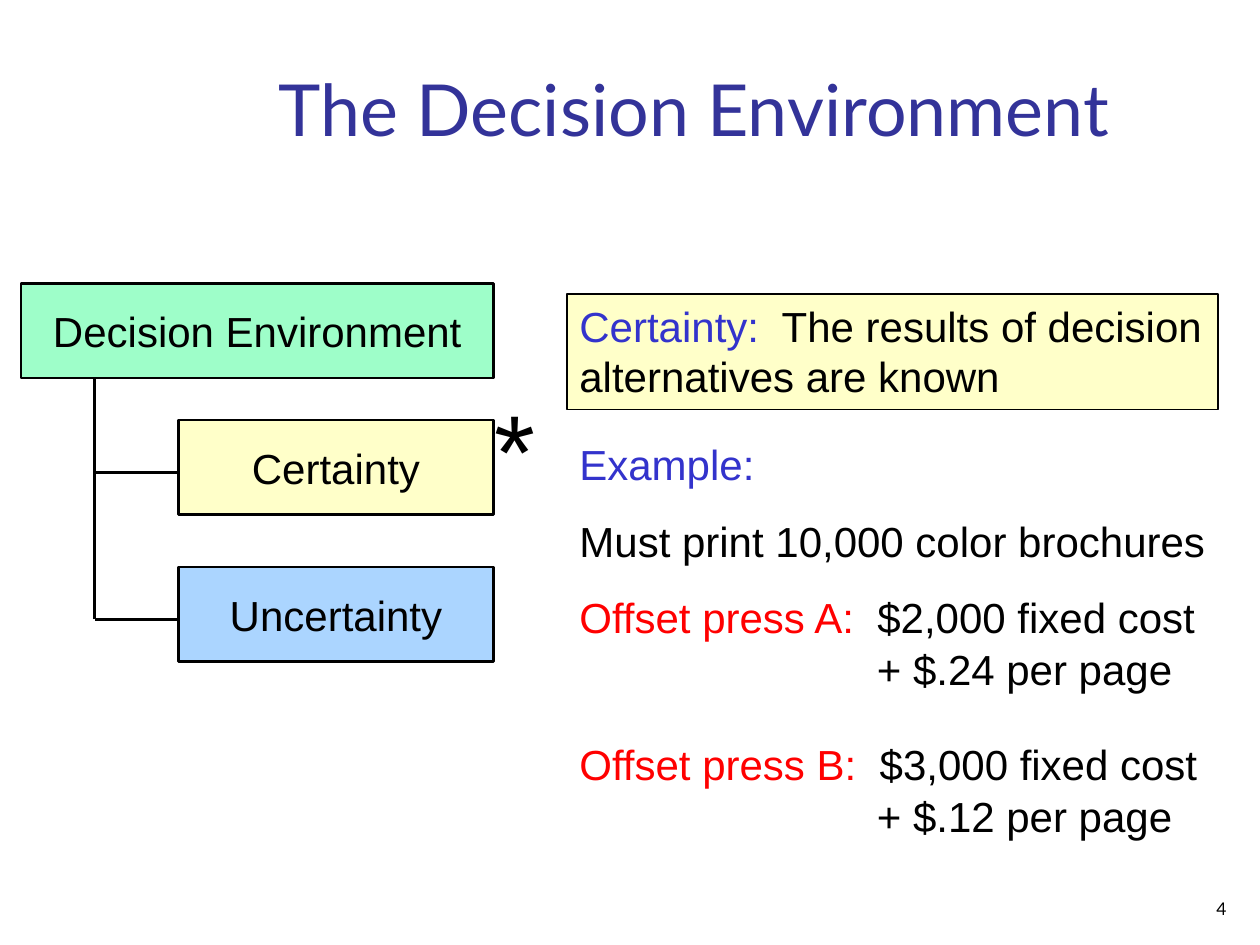
from dataclasses import dataclass

from lxml.etree import SubElement
from pptx import Presentation
from pptx.dml.color import RGBColor as Rgb
from pptx.enum.shapes import MSO_CONNECTOR as Connector, MSO_SHAPE as Shape
from pptx.enum.text import MSO_ANCHOR as Anchor, PP_ALIGN as Align
from pptx.oxml.ns import qn
from pptx.util import Pt


@dataclass(frozen=True)
class Theme:
    body_font: str = "Arial"
    title_font: str = "Lato"
    title_size: float = 41
    body_size: float = 24
    star_size: float = 60
    number_size: float = 10
    ink: str = "000000"
    title: str = "333399"
    term: str = "3333CC"
    press: str = "FF0000"
    root: str = "9EFEC9"
    certainty: str = "FFFFC9"
    uncertainty: str = "ABD5FF"
    outline: float = 1.5
    thin_outline: float = 0.75


THEME = Theme()


@dataclass(frozen=True)
class Area:
    left: float
    top: float
    width: float
    height: float

    def lengths(self) -> tuple:
        return Pt(self.left), Pt(self.top), Pt(self.width), Pt(self.height)


@dataclass(frozen=True)
class Span:
    text: str
    color: str = THEME.ink


@dataclass(frozen=True)
class Line:
    spans: tuple[Span, ...]
    space_before: float = 0
    indent: float = 0


@dataclass(frozen=True)
class Node:
    label: str
    area: Area
    fill: str


ROOT = Node("Decision Environment", Area(12, 162, 270, 54), THEME.root)
BRANCHES = (
    Node("Certainty", Area(102, 240, 180, 54), THEME.certainty),
    Node("Uncertainty", Area(102, 324, 180, 54), THEME.uncertainty),
)
TRUNK_X = 54
BRANCH_DROP = 30
COST_INDENT = 170

DEFINITION = (
    Line((Span("Certainty:", THEME.term),
          Span("  The results of decision alternatives are known"))),
)


def press_lines(name: str, fixed: str, per_page: str, gap: float) -> tuple[Line, ...]:
    return (
        Line((Span(f"Offset press {name}:", THEME.press),
              Span(f"  {fixed} fixed cost")), gap),
        Line((Span(f"+ {per_page} per page"),), 1, COST_INDENT),
    )


EXAMPLE = (
    Line((Span("Example:", THEME.term),)),
    Line((Span("Must print 10,000 color brochures"),), 15),
    *press_lines("A", "$2,000", "$.24", 15),
    *press_lines("B", "$3,000", "$.12", 25),
)


def write(frame, lines: tuple[Line, ...], size: float, font: str = THEME.body_font,
          align: Align = Align.LEFT, anchor: Anchor = Anchor.TOP,
          wrap: bool = True) -> None:
    frame.word_wrap = wrap
    frame.vertical_anchor = anchor
    frame.margin_left = frame.margin_right = Pt(7.2)
    frame.margin_top = frame.margin_bottom = Pt(3.6)
    for index, line in enumerate(lines):
        para = frame.add_paragraph() if index else frame.paragraphs[0]
        para.alignment = align
        para.space_before = Pt(line.space_before)
        if line.indent:
            para._p.get_or_add_pPr().set("marL", str(Pt(line.indent)))
        for span in line.spans:
            run = para.add_run()
            run.text = span.text
            run.font.name = font
            run.font.size = Pt(size)
            run.font.color.rgb = Rgb.from_string(span.color)


def add_text(slide, area: Area, lines: tuple[Line, ...], size: float, **style) -> None:
    box = slide.shapes.add_textbox(*area.lengths())
    write(box.text_frame, lines, size, **style)


def add_box(slide, area: Area, fill: str, outline: float):
    box = slide.shapes.add_shape(Shape.RECTANGLE, *area.lengths())
    box.shadow.inherit = False
    box.fill.solid()
    box.fill.fore_color.rgb = Rgb.from_string(fill)
    box.line.color.rgb = Rgb.from_string(THEME.ink)
    box.line.width = Pt(outline)
    return box


def add_node(slide, node: Node) -> None:
    box = add_box(slide, node.area, node.fill, THEME.outline)
    write(box.text_frame, (Line((Span(node.label),)),), THEME.body_size,
          align=Align.CENTER, anchor=Anchor.MIDDLE, wrap=False)


def add_line(slide, x1: float, y1: float, x2: float, y2: float) -> None:
    line = slide.shapes.add_connector(Connector.STRAIGHT, Pt(x1), Pt(y1), Pt(x2), Pt(y2))
    line.line.color.rgb = Rgb.from_string(THEME.ink)
    line.line.width = Pt(THEME.outline)
    SubElement(line._element.spPr, qn("a:effectLst"))


def add_tree(slide) -> None:
    for node in (ROOT, *BRANCHES):
        add_node(slide, node)
    branch_ys = [node.area.top + BRANCH_DROP for node in BRANCHES]
    add_line(slide, TRUNK_X, branch_ys[-1], TRUNK_X, ROOT.area.top + ROOT.area.height)
    for node, y in zip(BRANCHES, branch_ys):
        add_line(slide, TRUNK_X, y, node.area.left, y)


def add_title(slide) -> None:
    title = slide.shapes.title
    title.left, title.top, title.width, title.height = Area(90, 30, 613.5, 60).lengths()
    write(title.text_frame, (Line((Span("The Decision Environment", THEME.title),)),),
          THEME.title_size, font=THEME.title_font, align=Align.CENTER, anchor=Anchor.BOTTOM)


def main() -> None:
    deck = Presentation()
    deck.slide_width, deck.slide_height = Pt(720), Pt(540)
    slide = deck.slides.add_slide(deck.slide_layouts[5])

    add_title(slide)
    add_box(slide, Area(324, 168, 372, 66), THEME.certainty, THEME.thin_outline)
    add_tree(slide)
    add_text(slide, Area(324, 168, 378, 65), DEFINITION, THEME.body_size)
    add_text(slide, Area(324, 247, 378, 304.5), EXAMPLE, THEME.body_size)
    add_text(slide, Area(270, 216, 48, 79), (Line((Span("*"),)),), THEME.star_size,
             align=Align.CENTER)
    add_text(slide, Area(558, 504, 150, 24.5), (Line((Span("4"),)),), THEME.number_size,
             font=THEME.title_font, align=Align.RIGHT, anchor=Anchor.BOTTOM)

    deck.save("out.pptx")


if __name__ == "__main__":
    main()
